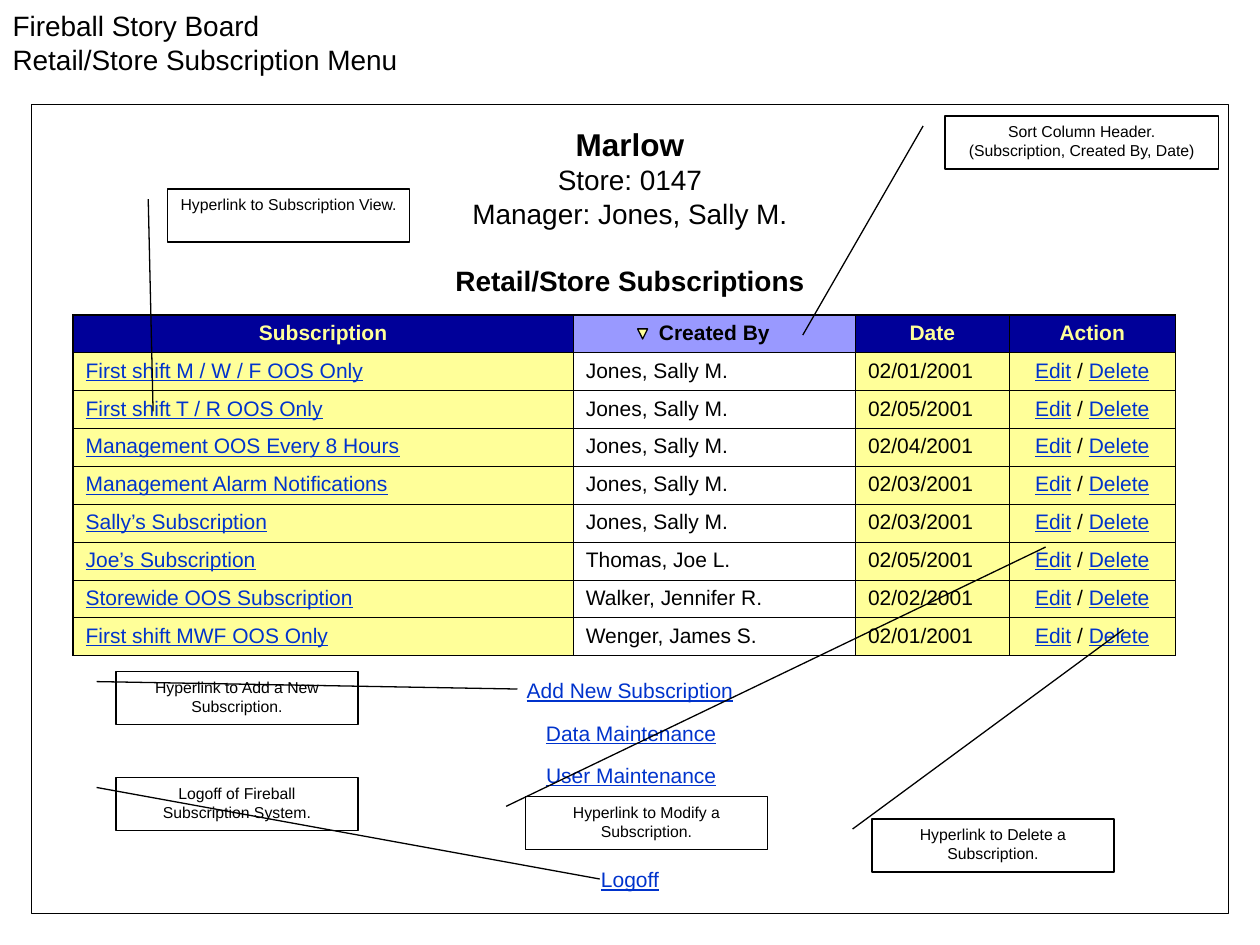
"""Build the storyboard slide for the retail subscription menu."""
from lxml import etree
from pptx import Presentation
from pptx import util as u
from pptx.dml.color import RGBColor
from pptx.enum import shapes, text
from pptx.oxml import ns

BLACK = RGBColor(0x00, 0x00, 0x00)
WHITE = RGBColor(0xFF, 0xFF, 0xFF)
NAVY = RGBColor(0x00, 0x00, 0x99)
LILAC = RGBColor(0x99, 0x99, 0xFF)
YELLOW = RGBColor(0xFF, 0xFF, 0x99)
LINK = RGBColor(0x00, 0x33, 0xCC)
CENTER = text.PP_ALIGN.CENTER
LEFT = text.PP_ALIGN.LEFT


def style_text(frame, size, color=BLACK, align=CENTER, bold=False, underline=False):
    frame.word_wrap = True
    for paragraph in frame.paragraphs:
        paragraph.alignment = align
        for run in paragraph.runs:
            run.font.name = "Arial"
            run.font.size = u.Pt(size)
            run.font.color.rgb = color
            run.font.bold = bold
            run.font.underline = underline


def add_outlined(kind, left, top, width, height, fill=WHITE):
    shape = slide.shapes.add_shape(
        kind, u.Inches(left), u.Inches(top), u.Inches(width), u.Inches(height))
    shape.shadow.inherit = False
    shape.fill.solid()
    shape.fill.fore_color.rgb = fill
    shape.line.color.rgb = BLACK
    shape.line.width = u.Pt(0.75)
    return shape


prs = Presentation()
prs.slide_width, prs.slide_height = u.Inches(10), u.Inches(7.5)
slide = prs.slides.add_slide(prs.slide_layouts[5])

title = slide.shapes.title
title.left, title.top = u.Inches(0), u.Inches(0.17)
title.width, title.height = u.Inches(10), u.Inches(0.33)
title.text_frame.text = "Fireball Story Board\vRetail/Store Subscription Menu"
title.text_frame.vertical_anchor = text.MSO_ANCHOR.MIDDLE
title.text_frame.auto_size = text.MSO_AUTO_SIZE.NONE
style_text(title.text_frame, 16, align=LEFT)

add_outlined(shapes.MSO_SHAPE.RECTANGLE, 0.25, 0.83, 9.5, 6.42)

heading = slide.shapes.add_textbox(
    u.Inches(0.25), u.Inches(1.51), u.Inches(9.5), u.Inches(0.33)).text_frame
heading.text = "Marlow\nStore: 0147\nManager: Jones, Sally M.\nRetail/Store Subscriptions"
heading.vertical_anchor = text.MSO_ANCHOR.MIDDLE
style_text(heading, 16)
store_name, section_name = heading.paragraphs[0], heading.paragraphs[-1]
store_name.runs[0].font.size = u.Pt(18)
store_name.runs[0].font.bold = True
section_name.runs[0].font.bold = True
section_name.space_before = u.Pt(19)

headers = ["Subscription", "Created By", "Date", "Action"]
subscriptions = [
    ("First shift M / W / F OOS Only", "Jones, Sally M.", "02/01/2001"),
    ("First shift T / R OOS Only", "Jones, Sally M.", "02/05/2001"),
    ("Management OOS Every 8 Hours", "Jones, Sally M.", "02/04/2001"),
    ("Management Alarm Notifications", "Jones, Sally M.", "02/03/2001"),
    ("Sally’s Subscription", "Jones, Sally M.", "02/03/2001"),
    ("Joe’s Subscription", "Thomas, Joe L.", "02/05/2001"),
    ("Storewide OOS Subscription", "Walker, Jennifer R.", "02/02/2001"),
    ("First shift MWF OOS Only", "Wenger, James S.", "02/01/2001"),
]
rows = [headers] + [(*entry, "Edit / Delete") for entry in subscriptions]
last_row, last_column = len(rows) - 1, len(headers) - 1
menu = slide.shapes.add_table(
    len(rows), len(headers), u.Inches(0.58), u.Inches(2.5),
    u.Inches(8.75), u.Inches(0.3 * len(rows))).table
menu.first_row = menu.horz_banding = False
for column, width in zip(menu.columns, (3.97, 2.24, 1.22, 1.32)):
    column.width = u.Inches(width)

for r, row in enumerate(rows):
    menu.rows[r].height = u.Inches(0.3)
    for c, value in enumerate(row):
        cell = menu.cell(r, c)
        frame = cell.text_frame
        sorted_column = c == 1
        if r == 0:
            cell_fill = LILAC if sorted_column else NAVY
            frame.text = value
            style_text(frame, 12, BLACK if sorted_column else YELLOW, bold=True)
        elif c == last_column:
            cell_fill = YELLOW
            for part in ("Edit", " / ", "Delete"):
                frame.paragraphs[0].add_run().text = part
            style_text(frame, 12, LINK, underline=True)
            slash = frame.paragraphs[0].runs[1]
            slash.font.color.rgb = BLACK
            slash.font.underline = False
        else:
            cell_fill = WHITE if sorted_column else YELLOW
            frame.text = value
            style_text(frame, 12, LINK if c == 0 else BLACK, LEFT, underline=c == 0)

        outer_edges = {"lnL": c == 0, "lnR": c == last_column,
                       "lnT": r == 0, "lnB": r == last_row}
        properties = cell._tc.get_or_add_tcPr()
        for edge, outer in outer_edges.items():
            border = etree.SubElement(
                properties, ns.qn(f"a:{edge}"), w=str(u.Pt(1.08 if outer else 0.45)))
            ink = etree.SubElement(border, ns.qn("a:solidFill"))
            etree.SubElement(ink, ns.qn("a:srgbClr"), val=str(BLACK))
        cell.fill.solid()
        cell.fill.fore_color.rgb = cell_fill

sort_marker = add_outlined(
    shapes.MSO_SHAPE.ISOSCELES_TRIANGLE, 5.06, 2.61, 0.08, 0.08, YELLOW)
sort_marker.rotation = 180

links = [
    ("Add New Subscription", 0.25, 5.33),
    ("Data Maintenance", 0.26, 5.67),
    ("User Maintenance", 0.26, 6),
    ("Logoff", 0.25, 6.83),
]
for label, left, top in links:
    link = slide.shapes.add_textbox(
        u.Inches(left), u.Inches(top), u.Inches(9.5), u.Inches(0.3)).text_frame
    link.text = label
    style_text(link, 12, LINK, underline=True)

callouts = [
    ("Hyperlink to Subscription View.", 1.33, 1.5, 1.92, 4.2, -0.06),
    ("Hyperlink to Modify a Subscription.", 4.17, 6.32, 1.92, -4.71, 2.15),
    ("Sort Column Header.\n(Subscription, Created By, Date)", 7.5, 0.92, 2.17, 4.14, -0.52),
    ("Hyperlink to Delete a Subscription.", 6.92, 6.5, 1.92, -3.58, 1.04),
    ("Hyperlink to Add a New Subscription.", 0.92, 5.33, 1.92, 0.33, 1.66),
    ("Logoff of Fireball\nSubscription System.", 0.92, 6.17, 1.92, 1.92, 2),
]
for note, left, top, width, target_y, target_x in callouts:
    callout = add_outlined(shapes.MSO_SHAPE.LINE_CALLOUT_1, left, top, width, 0.42)
    for i, value in enumerate((0.19, -0.08, target_y, target_x)):
        callout.adjustments[i] = value
    callout.text_frame.text = note
    callout.text_frame.vertical_anchor = text.MSO_ANCHOR.TOP
    style_text(callout.text_frame, 9)

prs.save("out.pptx")
